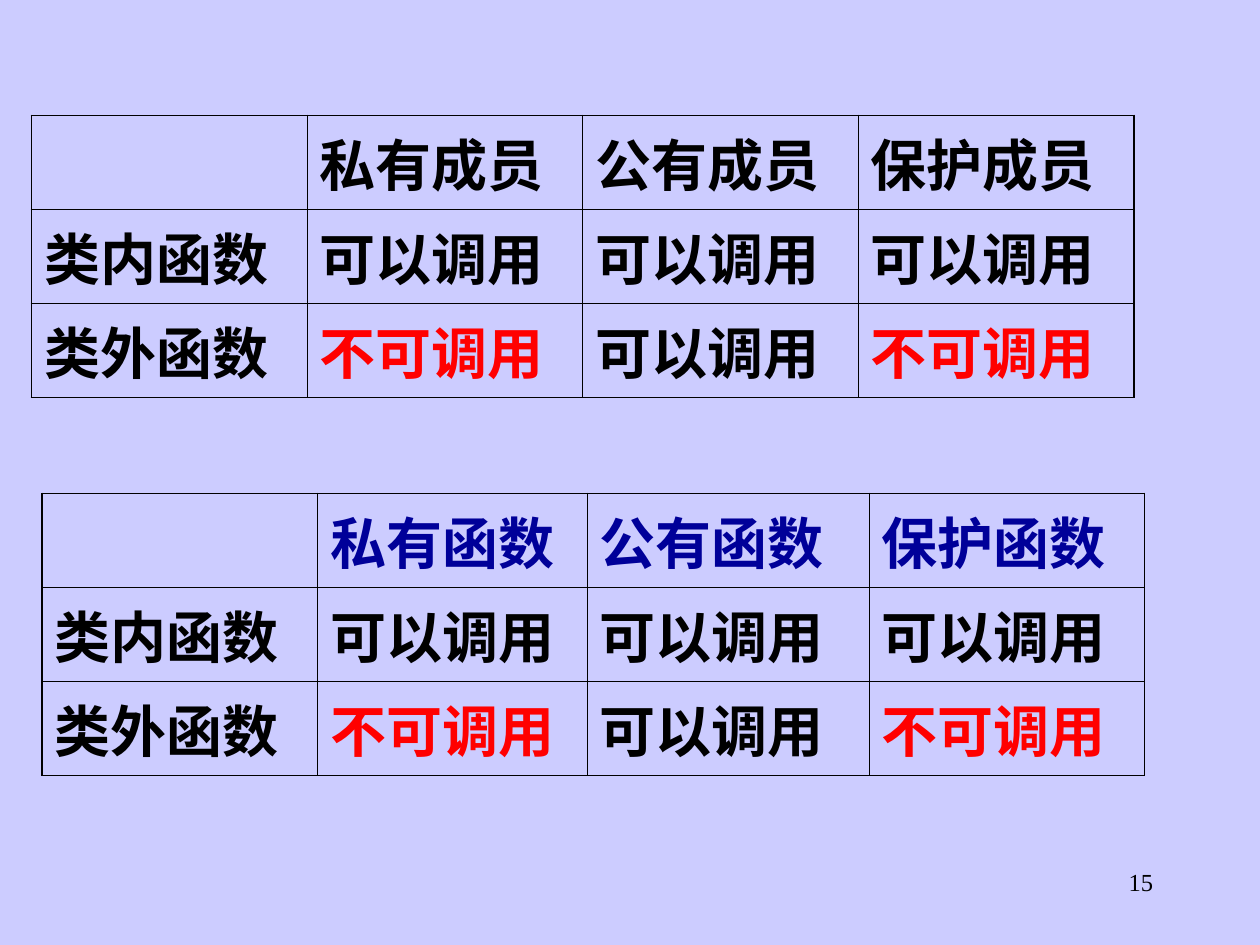
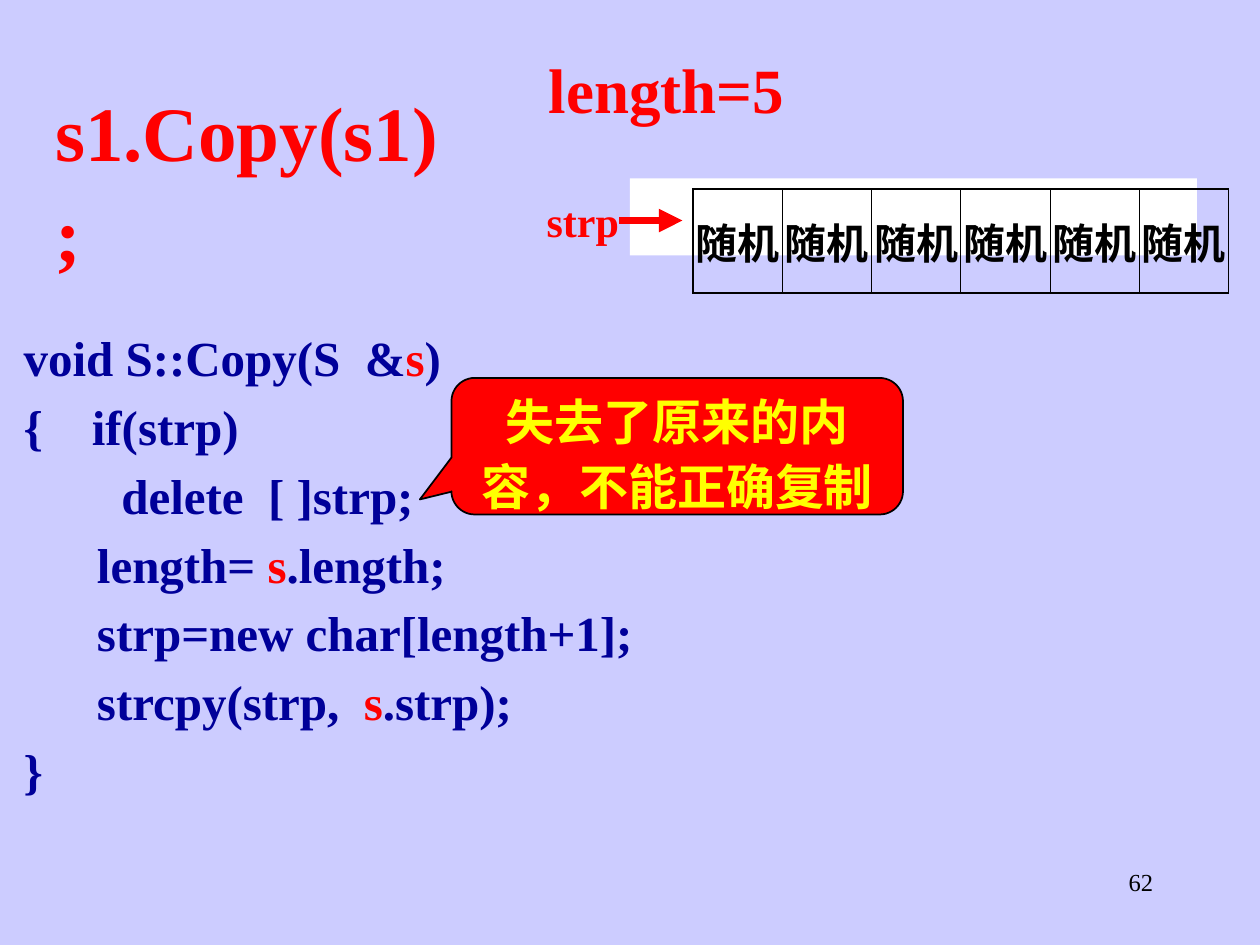
"""Build two slides on calling class members and on copying a string to itself."""
import pptx
import pptx.dml.color
import pptx.enum.shapes
import pptx.enum.text
import pptx.oxml.ns
import pptx.util
from lxml import etree

Pt = pptx.util.Pt
ALIGN = pptx.enum.text.PP_ALIGN
ANCHOR = pptx.enum.text.MSO_ANCHOR
SHAPE = pptx.enum.shapes.MSO_SHAPE
FONT = "Times New Roman"
PAPER, BLACK, WHITE = "CCCCFF", "000000", "FFFFFF"
RED, BLUE, YELLOW = "FF0000", "000099", "FFFF00"
THIN, THICK = 0.45, 1.08
WIDE, TIGHT = (7.2, 3.6), (1.5, 0.75)


def tint(code):
    return pptx.dml.color.RGBColor.from_string(code)


def sub(node, tag, **attrs):
    return etree.SubElement(node, pptx.oxml.ns.qn(tag), attrs)


def pad(item, gaps):
    item.margin_left = item.margin_right = Pt(gaps[0])
    item.margin_top = item.margin_bottom = Pt(gaps[1])


def write(frame, lines, size, bold=True, align=ALIGN.LEFT, pitch=None, gap=0):
    """Fill a frame with lines, each a list of (text, colour) runs."""
    for row, line in enumerate(lines):
        para = frame.paragraphs[0] if row == 0 else frame.add_paragraph()
        para.alignment = align
        para._p.get_or_add_pPr().set("hangingPunct", "0")
        if pitch:
            para.line_spacing = pitch
        if row:
            para.space_before = Pt(gap)
        for text, code in line:
            run = para.add_run()
            run.text = text
            run.font.name = FONT
            run.font.size = Pt(size)
            run.font.bold = bold
            run.font.color.rgb = tint(code)


def label(slide, box, lines, size, gaps=TIGHT, **style):
    frame = slide.shapes.add_textbox(*map(Pt, box)).text_frame
    frame.word_wrap = True
    pad(frame, gaps)
    write(frame, lines, size, **style)


def block(slide, kind, box, fill, edge=None):
    shape = slide.shapes.add_shape(kind, *map(Pt, box))
    shape.shadow.inherit = False
    shape.fill.solid()
    shape.fill.fore_color.rgb = tint(fill)
    if edge:
        shape.line.color.rgb = tint(edge)
        shape.line.width = Pt(1)
    else:
        shape.line.fill.background()
    return shape


def arrow(slide, start, end, level):
    line = slide.shapes.add_connector(
        pptx.enum.shapes.MSO_CONNECTOR.STRAIGHT, *map(Pt, (start, level, end, level)))
    line.line.color.rgb = tint(RED)
    line.line.width = Pt(4.5)
    sub(line.line._get_or_add_ln(), "a:tailEnd", type="triangle")
    sub(line._element.spPr, "a:effectLst")


def frame_cell(cell, outer):
    """Draw the four borders, thick where the cell meets the table's edge."""
    props = cell._tc.get_or_add_tcPr()
    for side in "LRTB":
        width = THICK if side in outer else THIN
        edge = sub(props, "a:ln" + side, w=str(Pt(width)))
        sub(sub(edge, "a:solidFill"), "a:srgbClr", val=BLACK)
    cell.fill.background()


def grid(slide, left, top, widths, height, rows, size, gaps=WIDE,
         align=ALIGN.LEFT, anchor=ANCHOR.TOP):
    """Add a table of (text, colour) cells."""
    box = left, top, sum(widths), height * len(rows)
    table = slide.shapes.add_table(len(rows), len(widths), *map(Pt, box)).table
    table.first_row = table.horz_banding = False
    for col, width in zip(table.columns, widths):
        col.width = Pt(width)
    for r, row in enumerate(rows):
        table.rows[r].height = Pt(height)
        for c, (text, code) in enumerate(row):
            cell = table.cell(r, c)
            pad(cell, gaps)
            cell.vertical_anchor = anchor
            if text:
                write(cell.text_frame, [[(text, code)]], size, align=align)
            edges = {"L": c == 0, "R": c == len(widths) - 1,
                     "T": r == 0, "B": r == len(rows) - 1}
            frame_cell(cell, [side for side, on in edges.items() if on])


def access(slide, left, top, widths, noun, code):
    """Add a table of which functions may call which kind of member."""
    can, cannot = ("可以调用", BLACK), ("不可调用", RED)
    heads = [("", code)] + [(kind + noun, code) for kind in ("私有", "公有", "保护")]
    rows = [heads,
            [("类内函数", BLACK), can, can, can],
            [("类外函数", BLACK), cannot, can, cannot]]
    grid(slide, left, top, widths, 53.7, rows, 32)


def memory(slide, left, top):
    """Show the length and the pointer to six cells of random content."""
    label(slide, (left + 6, top, 168, 49), [[("length=5", RED)]], 36, pitch=1.1)
    label(slide, (left, top + 84, 54, 33), [[("strp", RED)]], 24,
          align=ALIGN.CENTER, pitch=1.1)
    block(slide, SHAPE.RECTANGLE, (left + 54, top + 78, 324, 44), WHITE)
    grid(slide, left + 90, top + 84, [51] * 6, 59.4, [[("随机", BLACK)] * 6], 24,
         gaps=(1.5, 3.6), align=ALIGN.CENTER, anchor=ANCHOR.MIDDLE)
    arrow(slide, left + 48, left + 84, top + 102)


def listing(slide, box):
    """Write the body of the copy function, its argument in red."""
    arg = ("s", RED)
    lines = [
        [("void S::Copy(S  &", BLUE), arg, (")", BLUE)],
        [("{    if(strp)", BLUE)],
        [("        delete  [ ]strp;", BLUE)],
        [("      length= ", BLUE), arg, (".length;", BLUE)],
        [("      strp=new char[length+1];", BLUE)],
        [("      strcpy(strp,  ", BLUE), arg, (".strp);", BLUE)],
        [("}", BLUE)],
    ]
    label(slide, box, lines, 28, pitch=0.6, gap=19.2)


def warning(slide, box):
    shape = block(slide, SHAPE.ROUNDED_RECTANGULAR_CALLOUT, box, RED, BLACK)
    for spot, value in enumerate((-0.57, 0.39, 0.17)):
        shape.adjustments[spot] = value
    frame = shape.text_frame
    frame.word_wrap = True
    frame.vertical_anchor = ANCHOR.TOP
    pad(frame, TIGHT)
    write(frame, [[("失去了原来的内容，不能正确复制", YELLOW)]], 28,
          align=ALIGN.CENTER, pitch=1.1)


def start(deck, number):
    """Add a blank slide with the shared ground and page number."""
    slide = deck.slides.add_slide(deck.slide_layouts[6])
    slide.background.fill.solid()
    slide.background.fill.fore_color.rgb = tint(PAPER)
    label(slide, (516, 492, 150, 36), [[(number, BLACK)]], 14, gaps=WIDE,
          bold=False, align=ALIGN.RIGHT)
    return slide


def main():
    deck = pptx.Presentation()
    deck.slide_width, deck.slide_height = Pt(720), Pt(540)

    slide = start(deck, "15")
    access(slide, 18, 66, [157.5] * 4, "成员", BLACK)
    access(slide, 24, 282, [157.5, 154, 161.2, 157.3], "函数", BLUE)

    slide = start(deck, "62")
    listing(slide, (12, 198.2, 372, 314))
    label(slide, (30, 42, 234, 118), [[("s1.Copy(s1);", RED)]], 44, pitch=1.1)
    memory(slide, 306, 24)
    warning(slide, (258, 216, 258, 78))

    deck.save("out.pptx")


if __name__ == "__main__":
    main()
